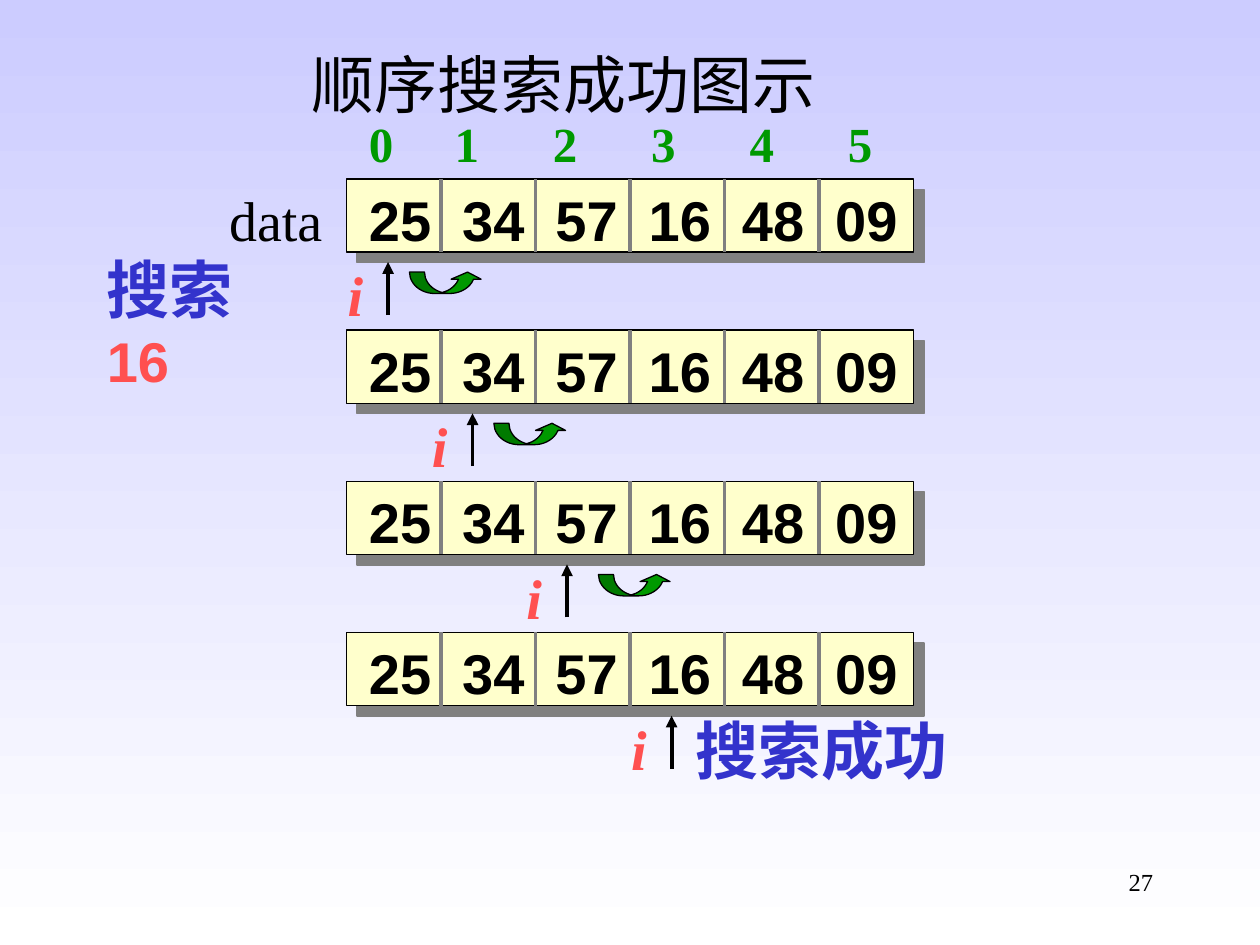
from lxml import etree
from pptx import Presentation
from pptx.dml.color import RGBColor
from pptx.enum import shapes, text
from pptx.oxml import ns
from pptx.util import Inches, Pt

BLACK = RGBColor(0, 0, 0)
WHITE = RGBColor(255, 255, 255)
LAVENDER = RGBColor(0xCC, 0xCC, 0xFF)
CREAM = RGBColor(0xFF, 0xFF, 0xCC)
GRAY = RGBColor(0x80, 0x80, 0x80)
GREEN = RGBColor(0, 0x99, 0)
BLUE = RGBColor(0x33, 0x33, 0xCC)
RED = RGBColor(0xFF, 0x50, 0x50)
SERIF, SANS, CJK = "Times New Roman", "Arial", "Noto Sans CJK SC"

VALUES = ["25", "34", "57", "16", "48", "09"]
ROW_LEFT, ROW_WIDTH, ROW_HEIGHT = 2.75, 4.5, 0.58
FIRST_ROW, ROW_PITCH = 1.42, 1.2
STEPS = [(3.08, 0.17), (3.75, 0.17), (4.5, 0.25), (5.33, None)]


def add_xml(parent, tag, **attributes):
    return etree.SubElement(parent, ns.qn(tag), attributes)


def style(font, size, color, name=SERIF, bold=False, italic=False):
    font.size, font.name = Pt(size), name
    font.bold, font.italic = bold, italic
    font.color.rgb = color
    add_xml(font._element, "a:ea", typeface=CJK)


def add_label(slide, wording, left, top, width, height, size, color,
              name=SERIF, bold=False, italic=False, wrap=True, tabs=()):
    label = slide.shapes.add_textbox(
        Inches(left), Inches(top), Inches(width), Inches(height))
    frame = label.text_frame
    frame.word_wrap = wrap
    frame.text = wording
    paragraph = frame.paragraphs[0]
    if tabs:
        stops = add_xml(paragraph._p.get_or_add_pPr(), "a:tabLst")
        for stop in tabs:
            add_xml(stops, "a:tab", pos=str(Inches(stop)), algn="l")
    style(paragraph.font, size, color, name, bold, italic)
    return paragraph


def add_line(slide, x, start, end, color, arrow=False):
    line = slide.shapes.add_connector(
        shapes.MSO_CONNECTOR.STRAIGHT,
        Inches(x), Inches(start), Inches(x), Inches(end))
    line.line.color.rgb = color
    line.line.width = Pt(2.25)
    if arrow:
        add_xml(line.line._get_or_add_ln(), "a:tailEnd", type="triangle")
    add_xml(line._element.spPr, "a:effectLst")


def add_filled(slide, preset, left, top, width, height, color):
    shape = slide.shapes.add_shape(
        preset, Inches(left), Inches(top), Inches(width), Inches(height))
    shape.shadow.inherit = False
    shape.fill.solid()
    shape.fill.fore_color.rgb = color
    shape.line.color.rgb = BLACK
    shape.line.width = Pt(0.75)
    return shape


def add_array(slide, left, top, width, height):
    strip = add_filled(slide, shapes.MSO_SHAPE.RECTANGLE,
                       left, top, width, height, CREAM)
    effects = strip._element.spPr.find(ns.qn("a:effectLst"))
    shadow = add_xml(effects, "a:outerShdw", dist=str(Pt(8.5)),
                     dir="2700000", algn="ctr", rotWithShape="0")
    add_xml(shadow, "a:srgbClr", val=str(GRAY))
    count = len(VALUES)
    add_label(slide, "\t".join(VALUES), left + 0.08, top, width, 0.63,
              32, BLACK, SANS, bold=True,
              tabs=[0.74 * k for k in range(1, count)])
    for k in range(1, count):
        add_line(slide, left + k * width / count, top, top + height, GRAY)


def add_pointer(slide, x, top, jump):
    add_line(slide, x, top + 0.42, top, BLACK, arrow=True)
    add_label(slide, "i", x - 0.42, top - 0.06, 0.32, 0.63, 32, RED,
              bold=True, italic=True, wrap=False)
    if jump is not None:
        hop = add_filled(slide, shapes.MSO_SHAPE.CURVED_UP_ARROW,
                         x + jump, top + 0.08, 0.58, 0.17, GREEN)
        for k, value in enumerate((0.7, 1.4, 0.333)):
            hop.adjustments[k] = value


def add_title(slide, wording, left, top, width, height):
    title = slide.shapes.title
    title.left, title.top = Inches(left), Inches(top)
    title.width, title.height = Inches(width), Inches(height)
    title.text_frame.text = wording
    title.text_frame.vertical_anchor = text.MSO_ANCHOR.MIDDLE
    heading = title.text_frame.paragraphs[0]
    heading.alignment = text.PP_ALIGN.CENTER
    style(heading.font, 36, BLACK, CJK)


def add_search_key(slide, left, top, width, height):
    frame = slide.shapes.add_textbox(
        Inches(left), Inches(top), Inches(width), Inches(height)).text_frame
    frame.word_wrap = True
    paragraph = frame.paragraphs[0]
    for wording, size, color, name in (("搜索 ", 36, BLUE, SERIF),
                                       ("16", 32, RED, SANS)):
        run = paragraph.add_run()
        run.text = wording
        style(run.font, size, color, name, bold=True)


def add_background(slide):
    fill = slide.background.fill
    fill.gradient()
    fill.gradient_angle = 270
    for stop, color in zip(fill.gradient_stops, (LAVENDER, WHITE)):
        stop.color.rgb = color


def main():
    deck = Presentation()
    deck.slide_width, deck.slide_height = Inches(10), Inches(7.5)
    slide = deck.slides.add_slide(deck.slide_layouts[5])
    add_background(slide)
    add_title(slide, "顺序搜索成功图示", 1.53, 0.25, 4.2 + 1.68, 0.83)
    indexes = "\t".join(str(k) for k in range(len(VALUES)))
    add_label(slide, indexes, 2.83, 0.85, 4.28, 0.57, 28, GREEN, bold=True,
              tabs=[0.68 + 0.78 * k for k in range(len(VALUES) - 1)])
    add_label(slide, "data", 1.72, FIRST_ROW, 0.94, 0.63, 32, BLACK,
              wrap=False)
    add_search_key(slide, 0.75, 1.94, 1.6, 0.7)
    for k, (x, jump) in enumerate(STEPS):
        top = FIRST_ROW + k * ROW_PITCH
        add_array(slide, ROW_LEFT, top, ROW_WIDTH, ROW_HEIGHT)
        add_pointer(slide, x, top + 0.66, jump)
    add_label(slide, "搜索成功", 5.42, 5.6, 2.65, 0.7, 36, BLUE, bold=True)
    number = add_label(slide, "27", 7.17, 6.83, 2.08, 0.5, 14, BLACK)
    number.alignment = text.PP_ALIGN.RIGHT
    deck.save("out.pptx")


if __name__ == "__main__":
    main()
